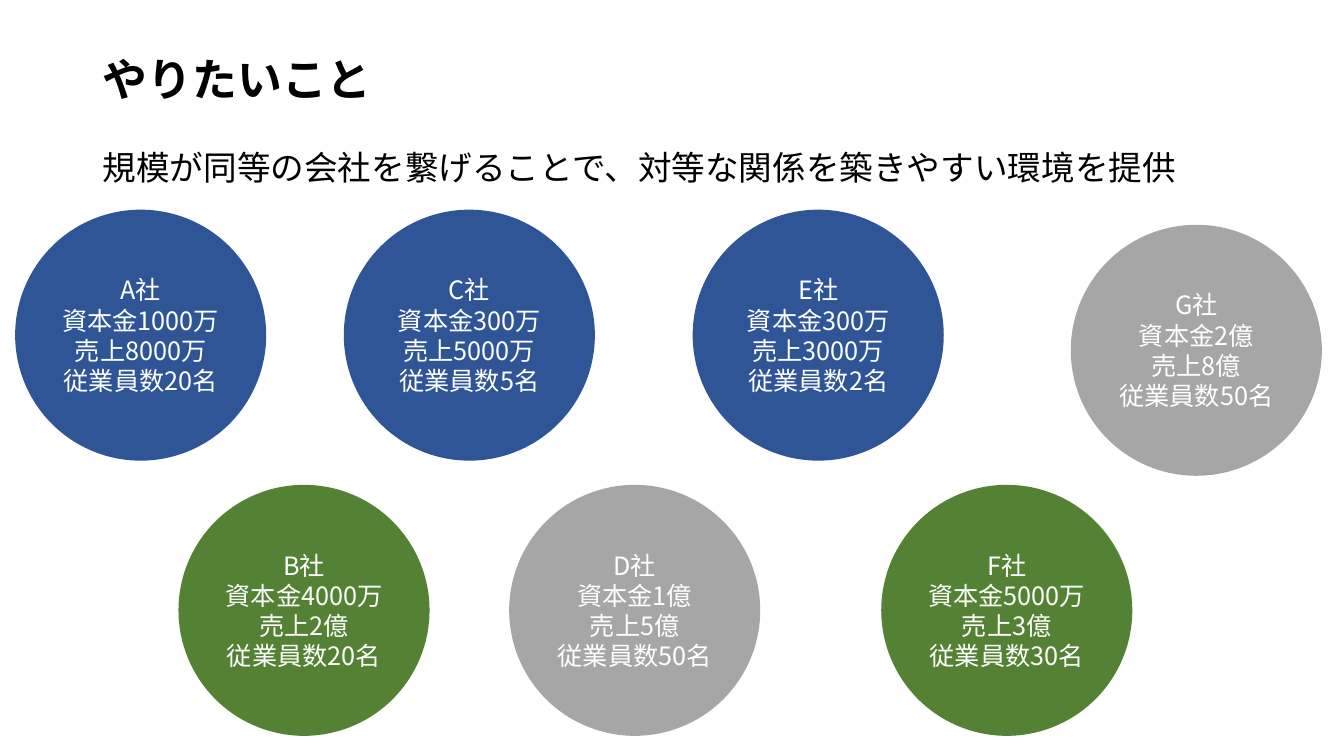
from lxml import etree
from pptx import Presentation
from pptx.dml.color import RGBColor
from pptx.enum.shapes import MSO_SHAPE
from pptx.enum.text import MSO_ANCHOR, MSO_AUTO_SIZE, PP_ALIGN
from pptx.oxml.ns import qn
from pptx.util import Inches, Pt

OVAL = MSO_SHAPE.OVAL
MIDDLE, TOP = MSO_ANCHOR.MIDDLE, MSO_ANCHOR.TOP
LEFT, CENTER = PP_ALIGN.LEFT, PP_ALIGN.CENTER
NO_AUTOFIT = MSO_AUTO_SIZE.NONE
FONT = "Noto Sans CJK JP"
COLORS = {"text": "000000", "label": "FFFFFF",
          "small": "2F5597", "medium": "548235", "large": "A6A6A6"}


def place(shape, left, top, width, height):
    shape.left, shape.top = Inches(left), Inches(top)
    shape.width, shape.height = Inches(width), Inches(height)


def write(shape, text, size, color, align, anchor, spacing=1.0, bold=False):
    frame = shape.text_frame
    frame.text = text
    frame.word_wrap = True
    frame.auto_size = NO_AUTOFIT
    frame.vertical_anchor = anchor
    for paragraph in frame.paragraphs:
        paragraph.alignment = align
        paragraph.line_spacing = spacing
        for run in paragraph.runs:
            run.font.size = Pt(size)
            run.font.bold = bold
            run.font.color.rgb = RGBColor.from_string(COLORS[color])
            run.font.name = FONT
            # Japanese glyphs take the East Asian typeface
            east_asian = etree.SubElement(run.font._element, qn("a:ea"))
            east_asian.set("typeface", FONT)


deck = Presentation()
deck.slide_width, deck.slide_height = Inches(13.33), Inches(7.5)
slide = deck.slides.add_slide(deck.slide_layouts[5])

# Title and lead sentence share one column
MARGIN, COLUMN = 0.92, 11.5
title = slide.shapes.title
place(title, MARGIN, 0.4, COLUMN, 0.82)
write(title, "やりたいこと", 32, "text", LEFT, MIDDLE, 0.9, True)

lead = slide.shapes.add_textbox(0, 0, 0, 0)
place(lead, MARGIN, 1.45, COLUMN, 0.55)
write(lead, "規模が同等の会社を繋げることで、対等な関係を築きやすい環境を提供",
      24, "text", LEFT, TOP, 0.9)
lead.text_frame.paragraphs[0].space_before = Pt(10)

# Companies, coloured by scale: name, capital, sales, staff, scale, left, top
DIAMETER = 2.49
UPPER, LOWER = 2.08, 4.81
companies = [
    ("A", "1000万", "8000万", 20, "small", 0.15, UPPER),
    ("B", "4000万", "2億", 20, "medium", 1.77, LOWER),
    ("C", "300万", "5000万", 5, "small", 3.41, UPPER),
    ("D", "1億", "5億", 50, "large", 5.05, LOWER),
    ("E", "300万", "3000万", 2, "small", 6.87, UPPER),
    ("F", "5000万", "3億", 30, "medium", 8.74, LOWER),
    ("G", "2億", "8億", 50, "large", 10.62, UPPER + 0.15),
]
for name, capital, sales, staff, scale, left, top in companies:
    company = slide.shapes.add_shape(OVAL, 0, 0, 0, 0)
    place(company, left, top, DIAMETER, DIAMETER)
    company.shadow.inherit = False
    company.fill.solid()
    company.fill.fore_color.rgb = RGBColor.from_string(COLORS[scale])
    company.line.fill.background()
    write(company, f"{name}社\n資本金{capital}\n売上{sales}\n従業員数{staff}名",
          18, "label", CENTER, MIDDLE)

deck.save("out.pptx")
